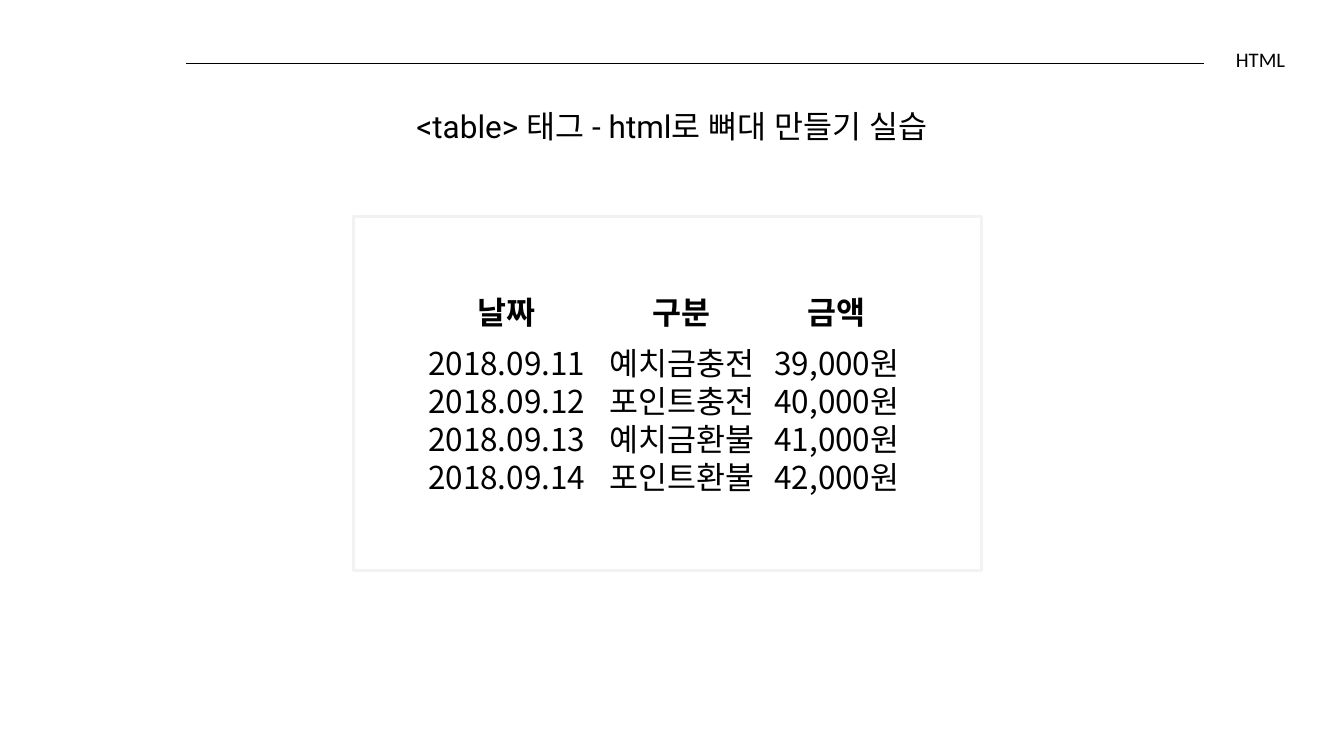
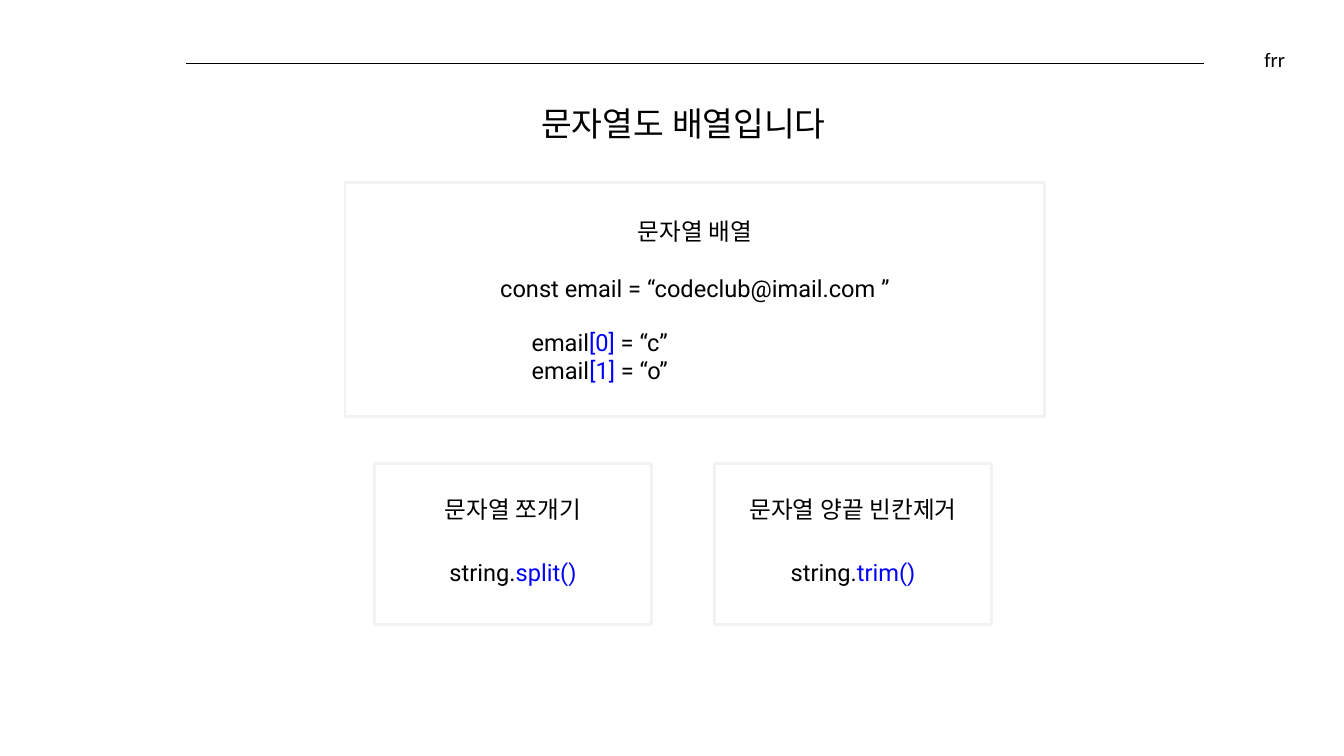
from pptx import Presentation, util as u
from pptx.dml.color import RGBColor
from pptx.enum import shapes, text
from pptx.oxml.ns import qn
from lxml import etree

WIDE, HIGH = u.Inches(18.97), u.Inches(10.67)
PAGE = (0, 0, WIDE, HIGH)
INK, BLUE, PALE = "000000", "0000FF", "F2F2F2"
BODY, SANS, TAG = "Roboto", "Noto Sans CJK KR", "Calibri"
MID, RIGHT = text.PP_ALIGN.CENTER, text.PP_ALIGN.RIGHT


def color(code):
    return RGBColor.from_string(code)


def part(box, x, y, w, h):
    """Return the part of a box given in hundredths of its width and height."""
    left, top, wide, high = box
    return (int(left + wide * x / 100), int(top + high * y / 100),
            int(wide * w / 100), int(high * h / 100))


def write(para, runs, size, face=BODY, bold=False, align=MID):
    """Add (words, colour) runs to a paragraph."""
    para.alignment = align
    for words, code in runs:
        run = para.add_run()
        run.text = words
        font = run.font
        font.size, font.name, font.bold = u.Pt(size), face, bold
        font.color.rgb = color(code)
        etree.SubElement(run._r.get_or_add_rPr(), qn("a:ea"), typeface=face)


def label(slide, box, runs, size, face=BODY, align=MID):
    frame = slide.shapes.add_textbox(*box).text_frame
    frame.margin_left = frame.margin_right = 0
    frame.margin_top = frame.margin_bottom = 0
    frame.word_wrap = True
    frame.vertical_anchor = text.MSO_ANCHOR.MIDDLE
    write(frame.paragraphs[0], runs, size, face, align=align)


def panel(slide, box):
    rect = slide.shapes.add_shape(shapes.MSO_SHAPE.RECTANGLE, *box)
    rect.shadow.inherit = False
    rect.fill.background()
    rect.line.color.rgb = color(PALE)
    rect.line.width = u.Pt(3)


def header(slide, tag):
    left, y, wide, _ = part(PAGE, 13.81, 8.43, 75.75, 0)
    rule = slide.shapes.add_connector(
        shapes.MSO_CONNECTOR.STRAIGHT, left + wide, y, left, y)
    rule.line.color.rgb = color(INK)
    rule.line.width = u.Pt(0.75)
    etree.SubElement(rule._element.spPr, qn("a:effectLst"))
    label(slide, part(PAGE, 66.68, 6, 28.94, 3.56), [(tag, INK)], 21, TAG, RIGHT)


def ledger(slide, box, rows):
    """Place a table whose first row is a bold heading."""
    widths, heights = (28.75, 26.94, 22.44), [14.4] + [10.7] * (len(rows) - 1)
    area = part(box, 10.03, 22.6, sum(widths), sum(heights))
    grid = slide.shapes.add_table(len(rows), len(widths), *area).table
    grid.first_row = grid.horz_banding = False
    for col, share in zip(grid.columns, widths):
        col.width = int(box[2] * share / 100)
    for i, row in enumerate(rows):
        grid.rows[i].height = int(box[3] * heights[i] / 100)
        for j, words in enumerate(row):
            cell = grid.cell(i, j)
            cell.fill.background()
            cell.margin_left = cell.margin_right = 0
            cell.margin_top = cell.margin_bottom = 0
            para = cell.text_frame.paragraphs[0]
            para.line_spacing = u.Pt(38.5)
            write(para, [(words, INK)], 32, SANS, bold=i == 0)


def sample(slide, box):
    panel(slide, box)
    label(slide, part(box, 10, 10.7, 80, 20), [("문자열 배열", INK)], 24)
    label(slide, part(box, 10, 35, 80, 20),
          [("const email = “codeclub@imail.com ”", INK)], 24)
    for i, sign in enumerate("co"):
        runs = [("email", INK), (f"[{i}]", BLUE), (f" = “{sign}”", INK)]
        label(slide, part(box, 16.39, 62.28 + 11.78 * i, 40, 12), runs, 24)


def card(slide, box, name, call):
    panel(slide, box)
    label(slide, part(box, 0, 18.4, 100, 20), [(name, INK)], 24)
    label(slide, part(box, 0, 57.4, 100, 20),
          [("string.", INK), (call, BLUE)], 24)


def table_page(slide):
    header(slide, "HTML")
    label(slide, part(PAGE, 28, 13.12, 44, 7.12),
          [("<table> 태그 - html로 뼈대 만들기 실습", INK)], 32)
    box = part(PAGE, 26.3, 28.58, 46.76, 46.86)
    panel(slide, box)
    ledger(slide, box, [
        ("날짜", "구분", "금액"),
        ("2018.09.11", "예치금충전", "39,000원"),
        ("2018.09.12", "포인트충전", "40,000원"),
        ("2018.09.13", "예치금환불", "41,000원"),
        ("2018.09.14", "포인트환불", "42,000원"),
    ])


def string_page(slide):
    header(slide, "frr")
    label(slide, part(PAGE, 20.72, 11.72, 60.25, 9.18),
          [("문자열도 배열입니다", INK)], 34)
    sample(slide, part(PAGE, 25.67, 24.09, 52.08, 31.02))
    cards = [("문자열 쪼개기", "split()"), ("문자열 양끝 빈칸제거", "trim()")]
    for i, (name, call) in enumerate(cards):
        card(slide, part(PAGE, 27.89 + 25.3 * i, 61.29, 20.56, 21.27), name, call)


def main():
    deck = Presentation()
    deck.slide_width, deck.slide_height = WIDE, HIGH
    for build in (table_page, string_page):
        build(deck.slides.add_slide(deck.slide_layouts[6]))
    deck.save("out.pptx")


if __name__ == "__main__":
    main()
